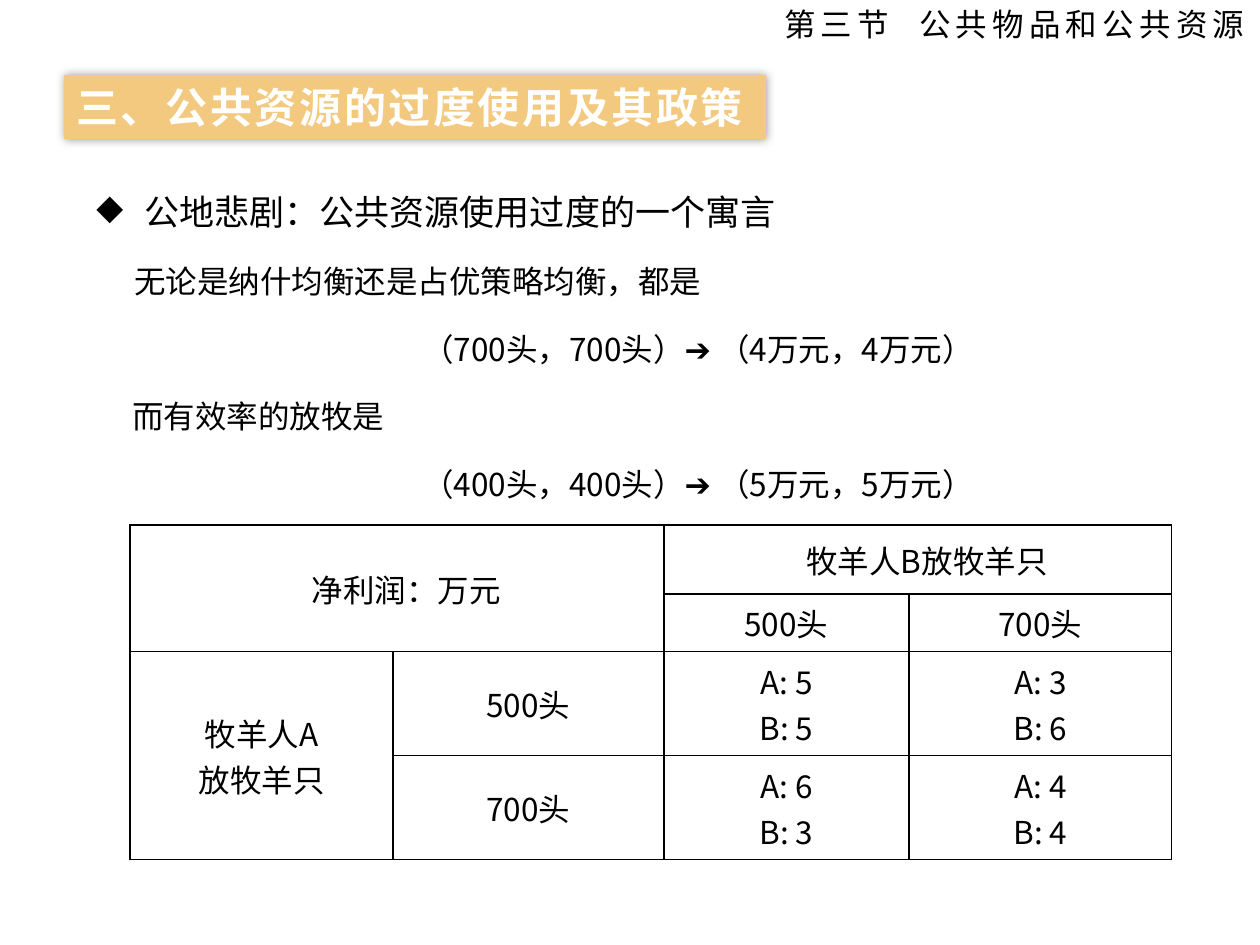
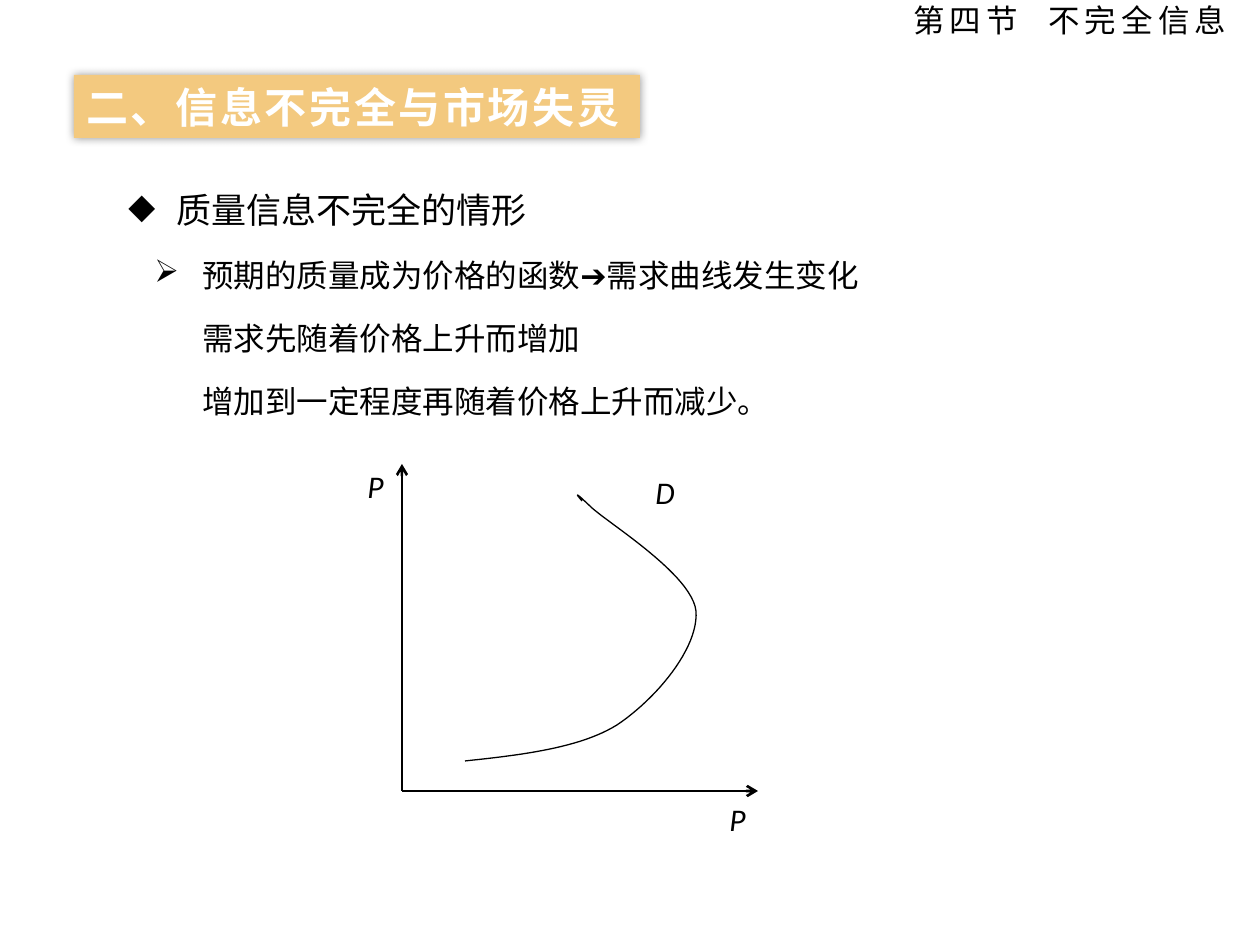
from lxml.etree import SubElement as Sub
from pptx import Presentation
from pptx.dml.color import RGBColor
from pptx.enum.shapes import MSO_CONNECTOR as Conn, MSO_SHAPE as Form
from pptx.enum.text import MSO_ANCHOR as Anchor, PP_ALIGN as Align
from pptx.oxml.ns import qn
from pptx.util import Pt

UNIT = 914400 / 126
CJK = "Noto Sans CJK SC"
BLACK, WHITE, GOLD = "000000", "FFFFFF", "F3C97F"
hue = RGBColor.from_string


def px(*nums):
    return [round(n * UNIT) for n in nums]


def pen(para, size, color=BLACK, face=CJK, bold=False, italic=False,
        gap=0, left=0, first=0, mark=None):
    """Set font, letter gap, indents and bullet of one paragraph."""
    prop = para._p.get_or_add_pPr()
    for key, num in zip(("marL", "indent"), px(left, first)):
        prop.set(key, str(num))
    if mark:
        Sub(prop, qn("a:buChar"), char=mark)
    font = para.font
    font.size, font.bold, font.italic = Pt(size), bold, italic
    font.color.rgb = hue(color)
    font.name = face
    char = prop.find(qn("a:defRPr"))
    char.set("spc", str(gap))
    Sub(char, qn("a:ea"), typeface=face)


deck = Presentation()
deck.slide_width, deck.slide_height = px(1260, 945)

# Section header, gold title band and body text of each slide.
# Body line: text, size, left, first indent, bullet, centred
pages = [
    (("第三节", "公共物品和公共资源"), (123, 4, 1134, 40),
     "三、公共资源的过度使用及其政策", (64, 75, 702, 64),
     (84, 165, 1134, 334), 35,
     [("公地悲剧：公共资源使用过度的一个寓言", 20, 48, -48, "◆", False),
      ("无论是纳什均衡还是占优策略均衡，都是", 18, 38, 0, None, False),
      ("（700头，700头）➔ （4万元，4万元）", 18, 94, 0, None, True),
      ("而有效率的放牧是", 18, 36, 0, None, False),
      ("（400头，400头）➔ （5万元，5万元）", 18, 94, 0, None, True)]),
    (("第四节", "不完全信息"), (105, 0, 1134, 40),
     "二、信息不完全与市场失灵", (74, 75, 566, 63),
     (116, 168, 1021, 324), 32.4,
     [("质量信息不完全的情形", 20, 48, -48, "◆", False),
      ("预期的质量成为价格的函数➔需求曲线发生变化", 18, 74, -48, "➢", False),
      ("需求先随着价格上升而增加", 18, 74, 0, None, False),
      ("增加到一定程度再随着价格上升而减少。", 18, 74, 0, None, False)]),
]

slides = []
for (part, name), top, title, band, body, lead, lines in pages:
    slide = deck.slides.add_slide(deck.slide_layouts[6])
    slides.append(slide)

    frame = slide.shapes.add_textbox(*px(*body)).text_frame
    frame.word_wrap = True
    frame.text = "\n".join(line[0] for line in lines)
    for i, (para, line) in enumerate(zip(frame.paragraphs, lines)):
        _, size, left, first, mark, mid = line
        para.line_spacing = Pt(lead)
        para.space_before = Pt(3.6 if i else 0)
        para.alignment = Align.CENTER if mid else Align.LEFT
        pen(para, size, left=left, first=first, mark=mark)

    rect = slide.shapes.add_shape(Form.RECTANGLE, *px(*band))
    rect.fill.solid()
    rect.fill.fore_color.rgb = hue(GOLD)
    rect.line.fill.background()
    rect.shadow.inherit = False
    glow = Sub(rect._element.spPr.find(qn("a:effectLst")),
               qn("a:outerShdw"), blurRad=str(Pt(5)), dist="0", dir="0",
               algn="ctr", rotWithShape="0")
    tint = Sub(glow, qn("a:srgbClr"), val=BLACK)
    Sub(tint, qn("a:alpha"), val="40000")
    frame = rect.text_frame
    frame.word_wrap = True
    frame.margin_top = frame.margin_bottom = frame.margin_right = 0
    frame.text = title
    frame.paragraphs[0].alignment = Align.LEFT
    pen(frame.paragraphs[0], 24, WHITE, bold=True, gap=150)

    frame = slide.shapes.add_textbox(*px(*top)).text_frame
    frame.word_wrap = True
    frame.margin_top = frame.margin_bottom = 0
    frame.vertical_anchor = Anchor.MIDDLE
    para = frame.paragraphs[0]
    para.alignment = Align.RIGHT
    pen(para, 18, gap=300)
    for text, gap in ((part, 300), (" ", 1000), (name, 300)):
        run = para.add_run()
        run.text = text
        run._r.get_or_add_rPr().set("spc", str(gap))

# Payoff table of the two shepherds
cols, rows = (263, 271, 245, 263), (69, 58, 104, 104)
cells = [
    ("净利润：万元", "", "牧羊人B放牧羊只", ""),
    ("", "", "500头", "700头"),
    ("牧羊人A\n放牧羊只", "500头", "A: 5\nB: 5", "A: 3\nB: 6"),
    ("", "700头", "A: 6\nB: 3", "A: 4\nB: 4"),
]
grid = slides[0].shapes.add_table(
    4, 4, *px(130, 525, sum(cols), sum(rows))).table
grid.first_row = grid.horz_banding = False
for col, wide in zip(grid.columns, px(*cols)):
    col.width = wide
for row, high in zip(grid.rows, px(*rows)):
    row.height = high
for r, texts in enumerate(cells):
    for c, text in enumerate(texts):
        cell = grid.cell(r, c)
        cell.text = text
        cell.vertical_anchor = Anchor.MIDDLE
        for para in cell.text_frame.paragraphs:
            para.alignment = Align.CENTER
            pen(para, 18, first=0 if r else 18)
        prop = cell._tc.get_or_add_tcPr()
        for side in "LRTB":
            thick = Pt(1 if side == "T" and r == 0 else 0.75)
            edge = Sub(prop, qn(f"a:ln{side}"), w=str(thick))
            Sub(Sub(edge, qn("a:solidFill")), qn("a:srgbClr"), val=BLACK)
        cell.fill.background()
for a, b in (((0, 0), (1, 1)), ((0, 2), (0, 3)), ((2, 0), (3, 0))):
    grid.cell(*a).merge(grid.cell(*b))

# Demand curve that bends back, sampled from cubic arcs
shapes = slides[1].shapes
start = (465, 761)
arcs = [
    ((522, 755), (580, 748), (617, 725)),
    ((656, 699), (699, 648), (696, 611)),
    ((692, 575), (611, 525), (592, 508)),
    ((572, 489), (577, 495), (582, 501)),
]
dots, last, steps = [], start, 24
for arc in arcs:
    for k in range(1, steps + 1):
        t = k / steps
        mix = ((1 - t) ** 3, 3 * t * (1 - t) ** 2, 3 * t * t * (1 - t), t ** 3)
        dots.append(px(*(sum(m * n for m, n in zip(mix, axis))
                         for axis in zip(last, *arc))))
    last = arc[-1]
path = shapes.build_freeform(*px(*start))
path.add_line_segments(dots, close=False)
curve = path.convert_to_shape()
curve.fill.background()
curve.line.color.rgb = hue(BLACK)
curve.line.width = Pt(0.75)
curve.shadow.inherit = False

for tip in ((402, 464), (758, 791)):
    axis = shapes.add_connector(Conn.STRAIGHT, *px(402, 791, *tip))
    axis.line.color.rgb = hue(BLACK)
    axis.line.width = Pt(1.5)
    Sub(axis.line._get_or_add_ln(), qn("a:tailEnd"), type="arrow")
    Sub(axis._element.spPr, qn("a:effectLst"))

for text, x, y in (("P", 355, 461), ("D", 643, 467), ("P", 717, 794)):
    frame = shapes.add_textbox(*px(x, y, 44, 50)).text_frame
    frame.word_wrap = False
    frame.text = text
    pen(frame.paragraphs[0], 18, face="Calibri", italic=True)

deck.save("out.pptx")
